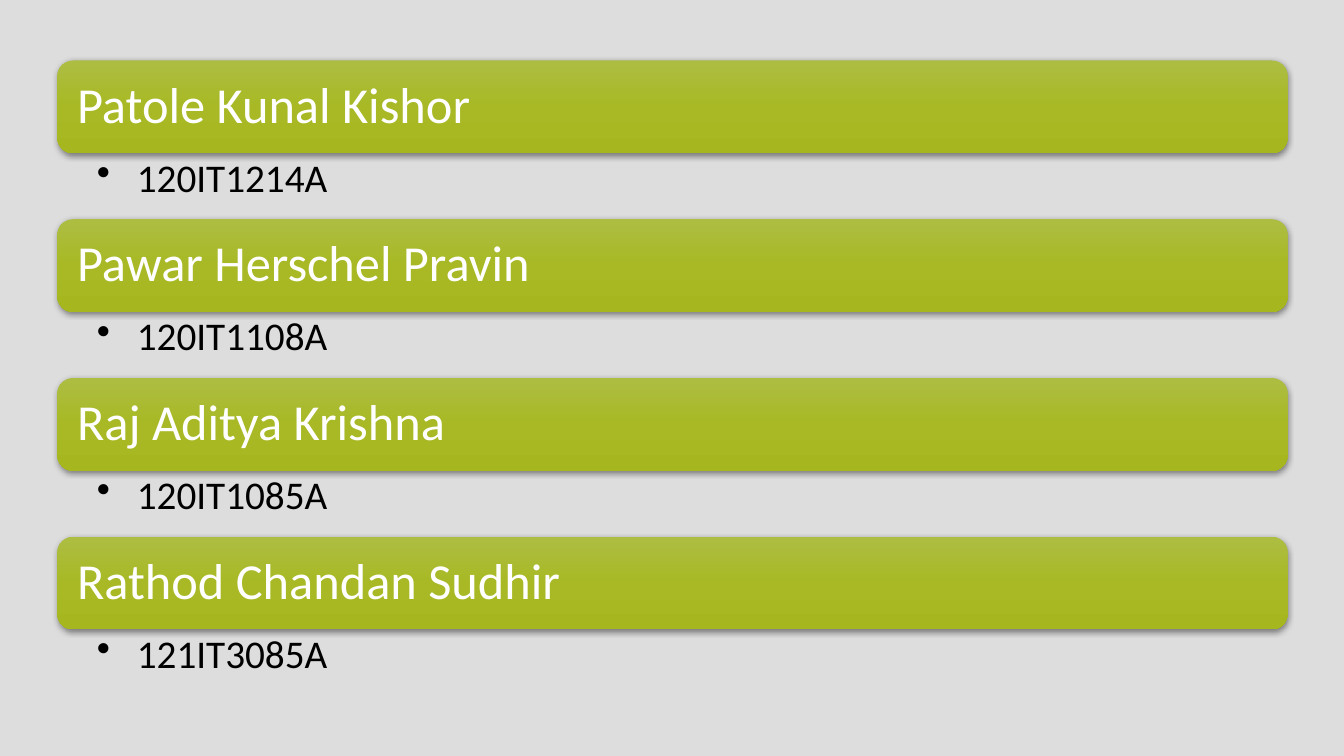
from copy import deepcopy
from pptx import Presentation
from pptx.dml.color import RGBColor
from pptx.enum.shapes import MSO_SHAPE
from pptx.enum.text import MSO_ANCHOR, PP_ALIGN
from pptx.oxml import parse_xml
from pptx.oxml.ns import nsdecls, qn
from pptx.util import Inches, Pt

# Content: student name and roll number
STUDENTS = [
    ("Patole Kunal Kishor", " 120IT1214A"),
    ("Pawar Herschel Pravin", " 120IT1108A"),
    ("Raj Aditya Krishna", " 120IT1085A"),
    ("Rathod Chandan Sudhir", " 121IT3085A"),
]

GREY = RGBColor(0xDD, 0xDD, 0xDD)
WHITE = RGBColor(0xFF, 0xFF, 0xFF)
BLACK = RGBColor(0, 0, 0)
GREENS = [
    (0, RGBColor(0xAD, 0xBD, 0x42)),
    (0.5, RGBColor(0xA8, 0xB9, 0x25)),
    (1, RGBColor(0xA5, 0xB6, 0x1F)),
]

# Grid: one bar and one roll line per row
LEFT, TOP, WIDTH = 0.57, 0.6, 12.2
BAR, LINE = 0.92, 0.65
PITCH = BAR + LINE + 0.005

SHADOW = (
    f'<a:effectLst {nsdecls("a")}><a:outerShdw blurRad="{Pt(4.4)}" '
    f'dist="{Pt(1.2)}" dir="5400000" algn="ctr" rotWithShape="0">'
    '<a:srgbClr val="000000"><a:alpha val="45000"/></a:srgbClr>'
    '</a:outerShdw></a:effectLst>'
)


def write(shape, text, size, color, insets, anchor):
    frame = shape.text_frame
    frame.word_wrap = True
    frame.vertical_anchor = anchor
    (frame.margin_left, frame.margin_top,
     frame.margin_right, frame.margin_bottom) = map(Inches, insets)
    para = frame.paragraphs[0]
    para.alignment = PP_ALIGN.LEFT
    para.line_spacing = 0.9
    run = para.add_run()
    run.text = text
    run.font.name = "Calibri"
    run.font.size = Pt(size)
    run.font.color.rgb = color
    return para


def shade(bar):
    fill = bar.fill
    fill.gradient()
    fill.gradient_angle = 270
    stops = bar._element.spPr.find(qn("a:gradFill")).find(qn("a:gsLst"))
    stops.insert(1, deepcopy(stops[0]))
    for stop, (pos, color) in zip(fill.gradient_stops, GREENS):
        stop.position = pos
        stop.color.rgb = color
    bar.line.fill.background()
    bar._element.spPr.append(parse_xml(SHADOW))


def add_bar(slide, top, name):
    bar = slide.shapes.add_shape(
        MSO_SHAPE.ROUNDED_RECTANGLE,
        *map(Inches, (LEFT, top, WIDTH, BAR)))
    shade(bar)
    write(bar, name, 36, WHITE, [0.15] * 4, MSO_ANCHOR.MIDDLE)


def add_roll(slide, top, roll):
    box = slide.shapes.add_textbox(*map(Inches, (LEFT, top, WIDTH, LINE)))
    para = write(box, roll, 28, BLACK, (0.39, 0.05, 0.28, 0.05),
                 MSO_ANCHOR.TOP)
    para.level = 1
    props = para._p.get_or_add_pPr()
    props.set("marL", str(Inches(0.31)))
    props.set("indent", str(Inches(-0.31)))
    props.append(parse_xml(f'<a:buChar {nsdecls("a")} char="•"/>'))


def main():
    deck = Presentation()
    deck.slide_width, deck.slide_height = Inches(13.33), Inches(7.5)
    slide = deck.slides.add_slide(deck.slide_layouts[6])
    back = slide.background.fill
    back.solid()
    back.fore_color.rgb = GREY

    # Student list
    for row, (name, roll) in enumerate(STUDENTS):
        top = TOP + row * PITCH
        add_bar(slide, top, name)
        add_roll(slide, top + BAR, roll)
    deck.save("out.pptx")


if __name__ == "__main__":
    main()
